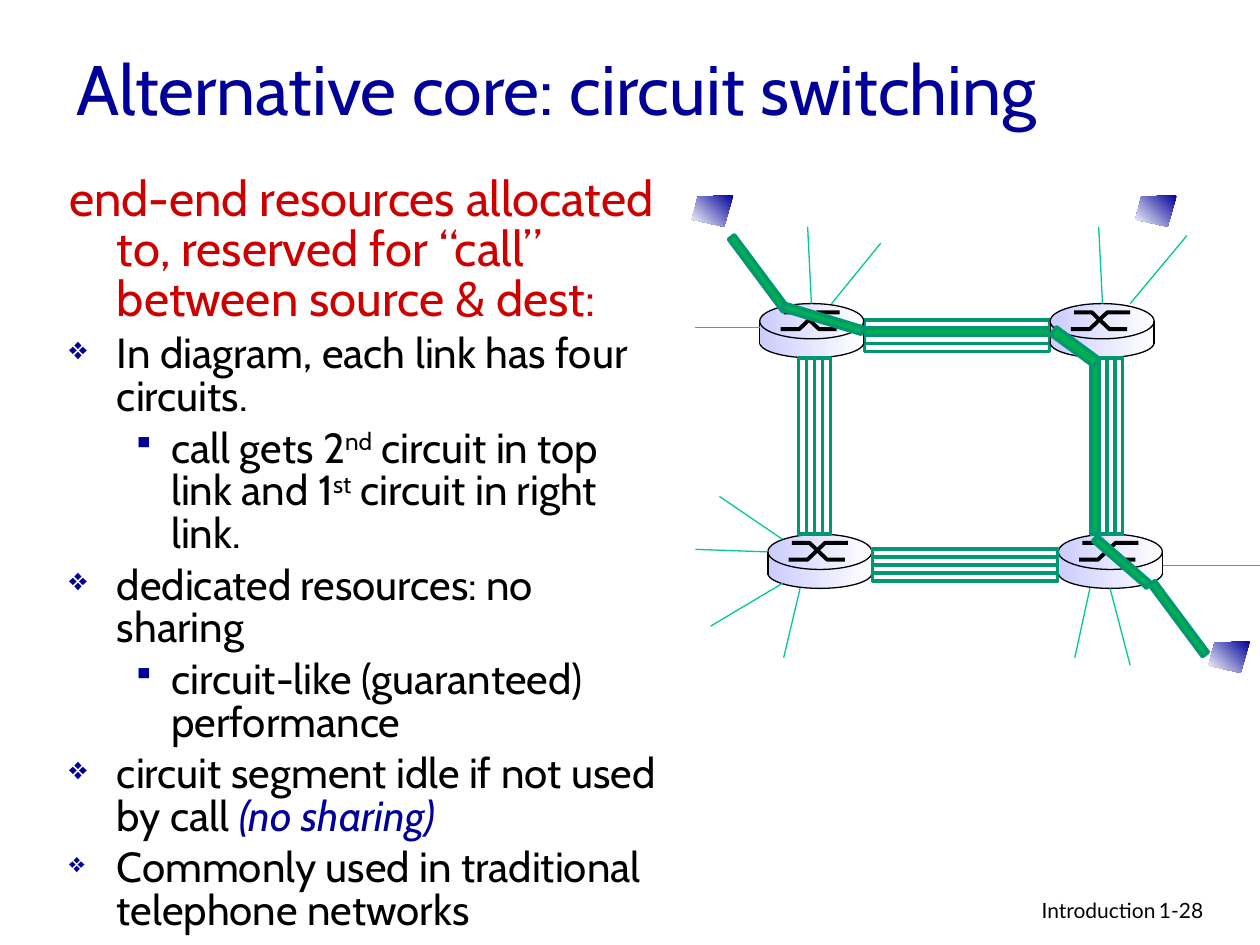
from dataclasses import dataclass
from lxml import etree
from pptx import Presentation
from pptx import util as u
from pptx.dml import color
from pptx.enum import shapes, text
from pptx.oxml import ns

CELL = u.Inches(0.1)


@dataclass(frozen=True)
class Theme:
    head: str = "Cabin"
    foot: str = "Lato"
    navy: str = "000099"
    red: str = "CC0000"
    ink: str = "000000"
    lilac: str = "CCCCFF"
    white: str = "FFFFFF"
    edge: str = "009771"
    call: str = "00B050"
    spoke: str = "00C896"
    title: int = 40
    lead: int = 28
    body: int = 24
    small: int = 12
    thin: float = 0.75
    sign: float = 2.25
    wire: float = 2


T = Theme()


def rgb(code):
    return color.RGBColor.from_string(code)


def put(item, **vals):
    for key, val in vals.items():
        setattr(item, key, val)


def span(*cells):
    return [round(n * CELL) for n in cells]


def stroke(line, code, width):
    line.color.rgb = rgb(code)
    line.width = u.Pt(width)


def blend(fill, first, angle):
    fill.gradient()
    fill.gradient_angle = angle
    for stop, code, pos in zip(fill.gradient_stops, (first, T.white), (0, 1)):
        stop.color.rgb = rgb(code)
        stop.position = pos


def block(slide, kind, x, y, w, h):
    part = slide.shapes.add_shape(kind, *span(x, y, w, h))
    part.shadow.inherit = False
    return part


def wire(slide, ends, code):
    part = slide.shapes.add_connector(shapes.MSO_CONNECTOR.STRAIGHT, *span(*ends))
    stroke(part.line, code, T.thin)
    etree.SubElement(part._element.spPr, ns.qn("a:effectLst"))


def trace(slide, points, close):
    first, *rest = [span(*p) for p in points]
    pen = slide.shapes.build_freeform(*first)
    pen.add_line_segments(rest, close=close)
    part = pen.convert_to_shape()
    part.shadow.inherit = False
    return part


def frame(slide, box, **vals):
    area = slide.shapes.add_textbox(*span(*box)).text_frame
    put(area, word_wrap=True, **vals)
    return area


def write(para, words, size, code, name=T.head, lift=False, **vals):
    run = para.add_run()
    run.text = words
    put(run.font, size=u.Pt(size), name=name, **vals)
    run.font.color.rgb = rgb(code)
    if lift:
        run._r.get_or_add_rPr().set("baseline", "30000")


def mark(para, left, hang, sign=None, share=75):
    prop = para._p.get_or_add_pPr()
    prop.set("marL", str(u.Inches(left)))
    prop.set("indent", str(-u.Inches(hang)))
    if not sign:
        etree.SubElement(prop, ns.qn("a:buNone"))
        return
    tint = etree.SubElement(prop, ns.qn("a:buClr"))
    etree.SubElement(tint, ns.qn("a:srgbClr"), val=T.navy)
    etree.SubElement(prop, ns.qn("a:buSzPct"), val=str(share * 1000))
    etree.SubElement(prop, ns.qn("a:buChar"), char=sign)


def title(slide, box):
    area = frame(slide, box, vertical_anchor=text.MSO_ANCHOR.MIDDLE)
    write(area.paragraphs[0], "Alternative core: circuit switching", T.title, T.navy)


def body(slide, box):
    area = frame(slide, box)
    lead = area.paragraphs[0]
    lead.line_spacing = 0.85
    mark(lead, 0.38, 0.38)
    write(lead, "end-end resources allocated to, reserved for “call” between source & dest:",
          T.lead, T.red)
    high = {"lift": True}
    tone = {"code": T.navy, "italic": True}
    items = [
        (0, 75, [("In diagram, each link has four circuits.", {})]),
        (1, 75, [("call gets 2", {}), ("nd", high), (" circuit in top link and 1", {}),
                 ("st", high), (" circuit in right link.", {})]),
        (0, 75, [("dedicated resources: no sharing", {})]),
        (1, 75, [("circuit-like (guaranteed) performance", {})]),
        (0, 75, [("circuit segment idle if not used by call ", {}), ("(no sharing)", tone)]),
        (0, 65, [("Commonly used in traditional telephone networks", {})]),
    ]
    dents = [(0.38, 0.38, "❖"), (0.81, 0.31, "▪")]
    for level, share, runs in items:
        para = area.add_paragraph()
        put(para, level=level, line_spacing=0.85, space_before=u.Pt(4.8))
        mark(para, *dents[level], share)
        for words, vals in runs:
            write(para, words, T.body, **{"code": T.ink, **vals})


def footer(slide, box):
    x, y, w, h = box
    parts = [(0, 31.7, "Introduction", text.PP_ALIGN.RIGHT),
             (30, w - 30, "1-28", text.PP_ALIGN.LEFT)]
    for left, wide, words, side in parts:
        para = frame(slide, (x + left, y, wide, h)).paragraphs[0]
        para.alignment = side
        write(para, words, T.small, T.ink, T.foot)


def host(slide, box):
    x, y, w, h = box
    outline = [(1, 0), (0.15, 0.04), (0, 0.77), (0.78, 1)]
    part = trace(slide, [(x + a * w, y + b * h) for a, b in outline], True)
    blend(part.fill, T.navy, 225)
    part.line.fill.background()


def router(slide, box):
    x, y, w, h = box
    oval, rect = shapes.MSO_SHAPE.OVAL, shapes.MSO_SHAPE.RECTANGLE
    for kind, top, tall in [(oval, 0.44, 0.56), (rect, 0.39, 0.35), (oval, 0, 0.65)]:
        part = block(slide, kind, x, y + top * h, w, tall * h)
        blend(part.fill, T.lilac, 0)
        if kind == oval:
            stroke(part.line, T.ink, T.thin)
        else:
            part.line.fill.background()
    high, low = 0.16, 0.47
    for cols, start, end in [((0.2, 0.38, 0.55, 0.77), low, high),
                             ((0.23, 0.4, 0.57, 0.74), high, low)]:
        rows = (start, start, end, end)
        part = trace(slide, [(x + a * w, y + b * h) for a, b in zip(cols, rows)], False)
        part.fill.background()
        stroke(part.line, T.ink, T.sign)
    for side in (x, x + w):
        wire(slide, (side, y + 0.33 * h, side, y + 0.75 * h), T.ink)


def bar(slide, mid, size, turn, used):
    (x, y), (w, h) = mid, size
    part = block(slide, shapes.MSO_SHAPE.RECTANGLE, x - w / 2, y - h / 2, w, h)
    part.rotation = turn
    if used:
        part.fill.solid()
        part.fill.fore_color.rgb = rgb(T.call)
    else:
        part.fill.background()
    stroke(part.line, T.edge, T.wire)


def link(slide, mid, size, turn, used=None):
    (x, y), gap = mid, 0.63
    for n in sorted(range(4), key=lambda n: n == used):
        step = n * gap
        spot = (x + step, y) if turn else (x, y + step)
        bar(slide, spot, (size, gap), turn, n == used)


def network(slide, box):
    x, y, w, h = box
    for a, b in [(0, 0), (35.2, 0), (w - 3.3, h - 2.5)]:
        host(slide, (x + a, y + b, 3.3, 2.5))
    link(slide, (x + 21.05, y + 10.2), 14.7, 0, 1)
    for a, b in [(5.4, 8.6), (28.45, 8.6), (6.05, 26.9), (29.1, 26.9)]:
        router(slide, (x + a, y + b, 8.25, 4.3))
    link(slide, (x + 8.8, y + 19.9), 14, 90)
    link(slide, (x + 21.7, y + 28.4), 14.7, 0)
    link(slide, (x + 32, y + 19.9), 14, 90, 0)
    spokes = [
        (9.2, 2.5, 9.5, 8.6), (15, 3.8, 11.1, 8.6), (0.3, 10.5, 5.4, 10.5),
        (0.3, 28.1, 6, 28.3), (2.2, 23.9, 7.2, 27.3), (1.5, 34.2, 7.2, 30.8),
        (7.3, 36.7, 8.6, 31.2), (45.1, 29.4, 37.4, 29.4), (34.8, 37.3, 33.2, 31.2),
        (30.4, 36.7, 31.6, 31.2), (32.3, 2.5, 32.6, 8.6), (39.3, 3.2, 34.8, 8.6),
    ]
    for a, b, c, d in spokes:
        wire(slide, (x + a, y + b, x + c, y + d), T.spoke)
    calls = [
        (5.3, 6.2, 7.2, 0.6, 53.3), (38.65, 33.6, 7.1, 0.6, 53.3),
        (10.4, 9.8, 6.6, 0.6, 16.9), (34.15, 29.1, 5.7, 0.6, 41.1),
        (30.4, 12, 4.2, 0.8, 36.3),
    ]
    for a, b, long, wide, turn in calls:
        bar(slide, (x + a, y + b), (long, wide), turn, True)


def main():
    deck = Presentation()
    put(deck, slide_width=100 * CELL, slide_height=75 * CELL)
    slide = deck.slides.add_slide(deck.slide_layouts[6])
    footer(slide, (61, 70.7, 37.4, 3.1))
    title(slide, (5.1, 3, 85, 7.9))
    body(slide, (4.5, 13.5, 48.8, 50.8))
    network(slide, (54.9, 15.5, 44.3, 37.9))
    deck.save("out.pptx")


if __name__ == "__main__":
    main()
